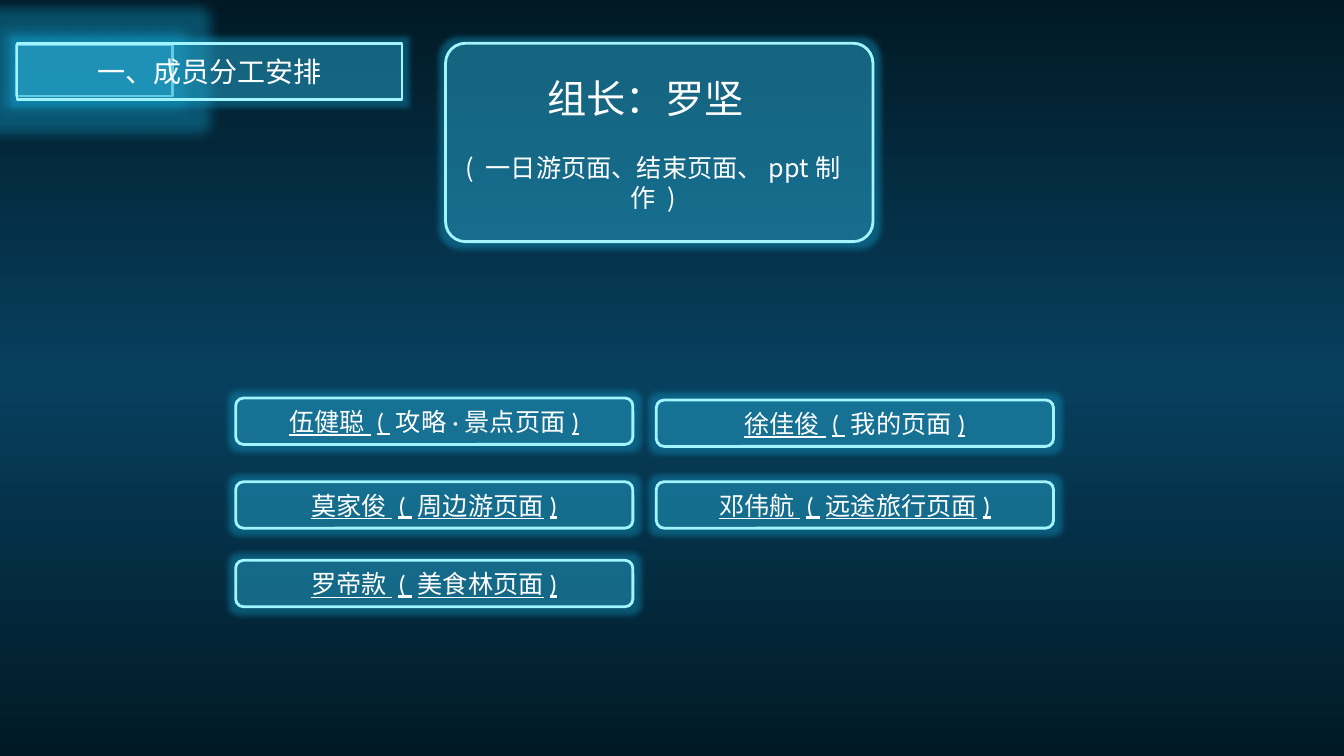
from copy import deepcopy

from lxml import etree
from pptx import Presentation
from pptx.dml.color import RGBColor
from pptx.enum.shapes import MSO_SHAPE
from pptx.enum.text import MSO_ANCHOR, MSO_AUTO_SIZE, PP_ALIGN
from pptx.oxml.ns import qn
from pptx.util import Cm, Pt

RECT, ROUND = MSO_SHAPE.RECTANGLE, MSO_SHAPE.ROUNDED_RECTANGLE
MIDDLE, CENTER = MSO_ANCHOR.MIDDLE, PP_ALIGN.CENTER
NO_FIT = MSO_AUTO_SIZE.NONE

WHITE = RGBColor(0xFF, 0xFF, 0xFF)
DARK = RGBColor(0x01, 0x19, 0x25)
BLUE = RGBColor(0x07, 0x40, 0x5E)
CYAN = RGBColor(0x45, 0xB1, 0xD2)
EDGE = RGBColor(0xA2, 0xF5, 0xFF)
GLOW = RGBColor(0x14, 0x9F, 0xCB)
CJK, LATIN = "Noto Sans CJK SC", "Calibri"

TITLE = "一、成员分工安排"
LEADER = "组长：罗坚"
LEADER_TASK = "( 一日游页面、结束页面、ppt制作 )"
MEMBERS = [
    (0, 10.03, [("伍健聪 ( ", True), ("攻略·景点页面", False), (")", True)]),
    (0, 12.14, [("莫家俊 ( 周边游页面)", True)]),
    (1, 10.08, [("徐佳俊 ( ", True), ("我的页面", False), (")", True)]),
    (1, 12.14, [("邓伟航 ( 远途旅行页面)", True)]),
    (0, 14.12, [("罗帝款 ( 美食林页面)", True)]),
]
COLUMN_LEFT, COLUMN_STEP = 5.94, 10.6
CARD_W, CARD_H = 10.01, 1.17


def paint(sp, glow=8, edge=2):
    sp.fill.solid()
    sp.fill.fore_color.rgb = CYAN
    color = sp.fill._xPr.find(qn("a:solidFill"))[0]
    etree.SubElement(color, qn("a:alpha"), val="20000")
    sp.line.color.rgb = EDGE
    sp.line.width = Pt(edge)
    sp.shadow.inherit = False
    effects = sp._element.spPr.find(qn("a:effectLst"))
    halo = etree.SubElement(effects, qn("a:glow"), rad=str(Pt(glow)))
    color = etree.SubElement(halo, qn("a:srgbClr"), val=str(GLOW))
    etree.SubElement(color, qn("a:alpha"), val="40000")


def panel(shapes, kind, left, top, width, height, glow=8, edge=2):
    sp = shapes.add_shape(kind, Cm(left), Cm(top), Cm(width), Cm(height))
    paint(sp, glow, edge)
    return sp


def write(sp, parts, size, font):
    tf = sp.text_frame
    p = tf.paragraphs[0]
    p.alignment = CENTER
    for text, underlined in parts:
        r = p.add_run()
        r.text = text
        r.font.size = Pt(size)
        r.font.name = font
        r.font.color.rgb = WHITE
        r.font.underline = underlined
        r.font._element.find(qn("a:latin")).addnext(
            r.font._element.makeelement(qn("a:ea"), {"typeface": CJK}))
    return tf


def label(shapes, text, left, top, width, height, size, wrap):
    sp = shapes.add_textbox(Cm(left), Cm(top), Cm(width), Cm(height))
    write(sp, [(text, False)], size, CJK).word_wrap = wrap


def paint_background(slide):
    fill = slide.background.fill
    fill.gradient()
    fill.gradient_angle = 90
    first = fill.gradient_stops[0]._gs
    first.addnext(deepcopy(first))
    for stop, position, color in zip(fill.gradient_stops, (0, 0.5, 1), (DARK, BLUE, DARK)):
        stop.position = position
        stop.color.rgb = color


def add_title(slide):
    title = slide.shapes.title
    title.left, title.top, title.width, title.height = Cm(0.43), Cm(1.09), Cm(9.7), Cm(1.42)
    geometry = etree.Element(qn("a:prstGeom"), prst="roundRect")
    etree.SubElement(geometry, qn("a:avLst"))
    title._element.spPr.find(qn("a:xfrm")).addnext(geometry)
    paint(title)
    tf = write(title, [(TITLE, False)], 20, CJK)
    tf.vertical_anchor = MIDDLE
    tf.auto_size = NO_FIT
    slide.shapes._spTree.append(title._element)


def main():
    prs = Presentation()
    prs.slide_width, prs.slide_height = Cm(33.87), Cm(19.05)
    slide = prs.slides.add_slide(prs.slide_layouts[5])
    paint_background(slide)
    panel(slide.shapes, RECT, 0.41, 1.14, 3.94, 1.27, glow=18, edge=1.5)

    leader = slide.shapes.add_group_shape().shapes
    panel(leader, ROUND, 11.23, 1.09, 10.77, 5).adjustments[0] = 0.1
    label(leader, LEADER_TASK, 10.92, 3.71, 11.07, 1.02, 18, True)
    label(leader, LEADER, 13.31, 1.75, 5.92, 1.45, 28, False)

    for column, top, parts in MEMBERS:
        left = COLUMN_LEFT + column * COLUMN_STEP
        card = panel(slide.shapes, ROUND, left, top, CARD_W, CARD_H)
        write(card, parts, 18, LATIN).vertical_anchor = MIDDLE
    add_title(slide)
    prs.save("out.pptx")


if __name__ == "__main__":
    main()
